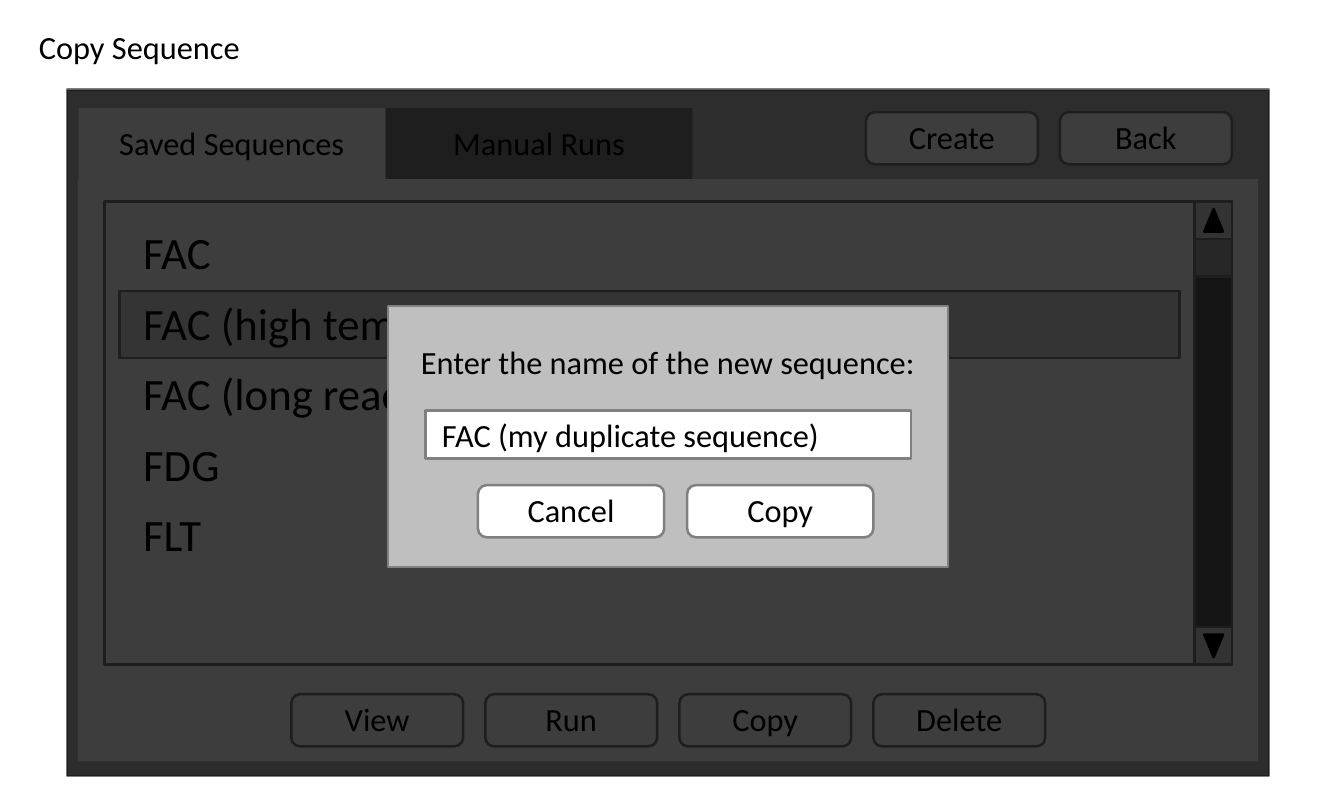
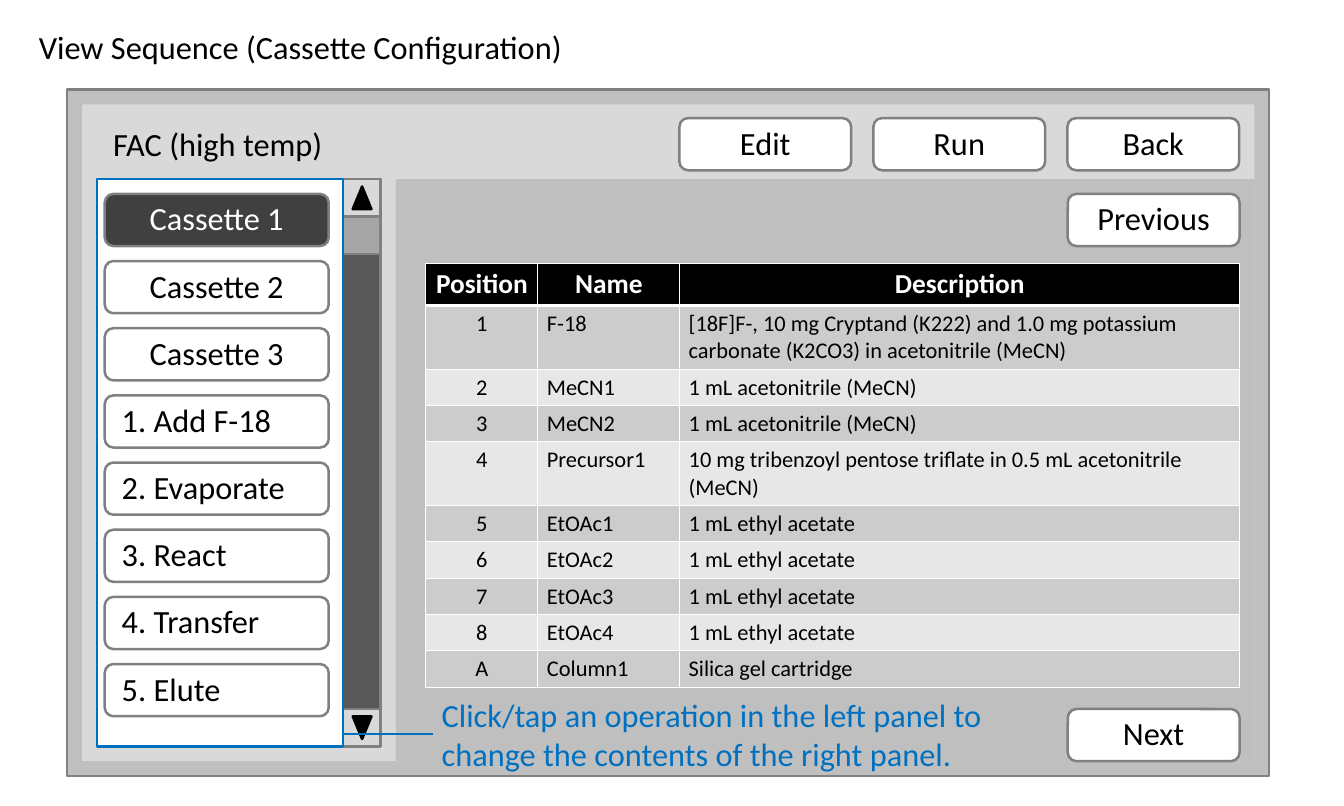
from dataclasses import dataclass

from lxml import etree
from pptx import Presentation
from pptx.dml.color import RGBColor
from pptx.enum.shapes import MSO_CONNECTOR, MSO_SHAPE
from pptx.enum.text import MSO_ANCHOR, MSO_AUTO_SIZE, PP_ALIGN
from pptx.oxml.ns import qn
from pptx.util import Cm, Pt

RECTANGLE = MSO_SHAPE.RECTANGLE
ROUNDED = MSO_SHAPE.ROUNDED_RECTANGLE
TRIANGLE = MSO_SHAPE.ISOSCELES_TRIANGLE
STRAIGHT = MSO_CONNECTOR.STRAIGHT
TOP = MSO_ANCHOR.TOP
NO_AUTOFIT = MSO_AUTO_SIZE.NONE
LEFT = PP_ALIGN.LEFT
CENTER = PP_ALIGN.CENTER
TITLE_ONLY = 5
LEFT_SIDE = 1


@dataclass(frozen=True)
class Theme:
    font: str = "Calibri"
    body: int = 26
    sequence: int = 36
    table_head: int = 22
    table_body: int = 18
    outline: float = 2
    black: str = "000000"
    white: str = "FFFFFF"
    frame: str = "BFBFBF"
    light: str = "D9D9D9"
    thumb: str = "A6A6A6"
    edge: str = "808080"
    track: str = "595959"
    dark: str = "404040"
    accent: str = "0070C0"
    row_odd: str = "CCCCCC"
    row_even: str = "E7E7E7"


THEME = Theme()

SCREEN = (1.9, 2.54, 34.08, 19.47)
BUTTON_WIDTH = 4.87
BUTTON_HEIGHT = 1.48
BUTTON_STEP = 5.5
SCROLL_CELL = 1.06
TEXT_HEIGHT = 1.37
INSET = (0.25, 0.13)
BUTTON_INSET = (0.1, 0.06)
STEP_INSET = (0.41, 0.06)

SEQUENCES = ["FAC", "FAC (high temp)", "FAC (long reaction time)", "FDG", "FLT"]
CASSETTES = ["Cassette 1", "Cassette 2", "Cassette 3"]
STEPS = ["1. Add F-18", "2. Evaporate", "3. React", "4. Transfer", "5. Elute"]
REAGENTS = [
    ("Position", "Name", "Description"),
    ("1", "F-18", "[18F]F-, 10 mg Cryptand (K222) and 1.0 mg potassium "
                  "carbonate (K2CO3) in acetonitrile (MeCN)"),
    ("2", "MeCN1", "1 mL acetonitrile (MeCN)"),
    ("3", "MeCN2", "1 mL acetonitrile (MeCN)"),
    ("4", "Precursor1", "10 mg tribenzoyl pentose triflate in 0.5 mL "
                        "acetonitrile (MeCN)"),
    ("5", "EtOAc1", "1 mL ethyl acetate"),
    ("6", "EtOAc2", "1 mL ethyl acetate"),
    ("7", "EtOAc3", "1 mL ethyl acetate"),
    ("8", "EtOAc4", "1 mL ethyl acetate"),
    ("A", "Column1", "Silica gel cartridge"),
]


def rgb(color):
    return RGBColor.from_string(color)


def write(frame, lines, size=THEME.body, color=THEME.black, align=LEFT,
          bold=False, gap=0):
    """Write one paragraph per line, with a gap in points between them."""
    for index, line in enumerate(lines):
        para = frame.add_paragraph() if index else frame.paragraphs[0]
        para.alignment = align
        if index and gap:
            para.space_before = Pt(gap)
        span = para.add_run()
        span.text = line
        span.font.name = THEME.font
        span.font.size = Pt(size)
        span.font.bold = bold
        span.font.color.rgb = rgb(color)


def set_frame(frame, inset=INSET):
    frame.word_wrap = True
    frame.auto_size = NO_AUTOFIT
    frame.vertical_anchor = TOP
    frame.margin_left = frame.margin_right = Cm(inset[0])
    frame.margin_top = frame.margin_bottom = Cm(inset[1])


def add_box(slide, area, fill, line=None, kind=RECTANGLE, opacity=None,
            text=None, inset=INSET, **style):
    """Add a filled shape; opacity is a percentage."""
    box = slide.shapes.add_shape(kind, *map(Cm, area))
    box.shadow.inherit = False
    box.fill.solid()
    box.fill.fore_color.rgb = rgb(fill)
    if opacity is not None:
        color = box._element.spPr.find(qn("a:solidFill"))[0]
        etree.SubElement(color, qn("a:alpha")).set("val", str(opacity * 1000))
    if line:
        box.line.color.rgb = rgb(line)
        box.line.width = Pt(THEME.outline)
    else:
        box.line.fill.background()
    if text:
        set_frame(box.text_frame, inset)
        write(box.text_frame, [text], **style)
    return box


def add_text(slide, area, lines, **style):
    box = slide.shapes.add_textbox(*map(Cm, area))
    set_frame(box.text_frame)
    write(box.text_frame, lines, **style)
    return box


def add_button(slide, label, left, top, width=BUTTON_WIDTH, fill=THEME.white,
               inset=BUTTON_INSET, align=CENTER, color=THEME.black):
    add_box(slide, (left, top, width, BUTTON_HEIGHT), fill, THEME.edge, ROUNDED,
            text=label, inset=inset, align=align, color=color)


def add_button_row(slide, labels, left, top, step=BUTTON_STEP,
                   width=BUTTON_WIDTH):
    for index, label in enumerate(labels):
        add_button(slide, label, left + index * step, top, width)


def add_scrollbar(slide, left, top, height):
    cell = SCROLL_CELL
    bottom = top + height - cell
    add_box(slide, (left, top, cell, height), THEME.track, THEME.edge)
    add_box(slide, (left, top + cell, cell, cell), THEME.thumb, THEME.edge)
    for arrow_top, rotation in ((top, 0), (bottom, 180)):
        add_box(slide, (left, arrow_top, cell, cell), THEME.light, THEME.edge)
        arrow = add_box(slide, (left + 0.27, arrow_top + 0.21, 0.53, 0.64),
                        THEME.black, THEME.black, TRIANGLE)
        arrow.rotation = rotation


def add_border(cell, side, width):
    line = etree.SubElement(cell._tc.get_or_add_tcPr(), qn(f"a:ln{side}"),
                            w=str(Pt(width)))
    fill = etree.SubElement(line, qn("a:solidFill"))
    etree.SubElement(fill, qn("a:srgbClr"), val=THEME.white)


def add_reagent_table(slide, left, top, widths, head_height, row_height):
    count = len(REAGENTS)
    height = head_height + (count - 1) * row_height
    table = slide.shapes.add_table(
        count, len(widths), Cm(left), Cm(top), Cm(sum(widths)), Cm(height)).table
    for column, width in zip(table.columns, widths):
        column.width = Cm(width)
    for row, values in enumerate(REAGENTS):
        head = row == 0
        table.rows[row].height = Cm(head_height if head else row_height)
        shade = THEME.row_odd if row % 2 else THEME.row_even
        for column, value in enumerate(values):
            cell = table.cell(row, column)
            for side in "LRTB":
                thick = (head and side == "B") or (row == 1 and side == "T")
                add_border(cell, side, 3 if thick else 1)
            cell.fill.solid()
            cell.fill.fore_color.rgb = rgb(THEME.black if head else shade)
            write(cell.text_frame, [value],
                  size=THEME.table_head if head else THEME.table_body,
                  color=THEME.white if head else THEME.black,
                  align=CENTER if head or column == 0 else LEFT, bold=head)


def add_screen(deck, title):
    """Add a slide with its title and the grey frame of the screen."""
    slide = deck.slides.add_slide(deck.slide_layouts[TITLE_ONLY])
    holder = slide.shapes.title
    holder.left, holder.top = Cm(0.85), Cm(0.64)
    holder.width, holder.height = Cm(20.32), Cm(TEXT_HEIGHT)
    set_frame(holder.text_frame)
    write(holder.text_frame, [title])
    add_box(slide, SCREEN, THEME.frame, THEME.edge)
    return slide


def add_copy_dialog(slide):
    add_box(slide, (11, 8.68, 15.88, 7.41), THEME.frame, THEME.edge,
            text="Enter the name of the new sequence:", inset=(0.2, 1.02),
            align=CENTER)
    add_box(slide, (12.07, 11.64, 13.76, TEXT_HEIGHT), THEME.white, THEME.edge,
            text="FAC (my duplicate sequence)", inset=(0.46, 0.13))
    add_button_row(slide, ["Cancel", "Copy"], 13.55, 13.76, 5.93, 5.28)


def build_copy_slide(deck):
    slide = add_screen(deck, "Copy Sequence")
    tabs = (("Saved Sequences", THEME.white), ("Manual Runs", THEME.edge))
    for index, (label, fill) in enumerate(tabs):
        add_box(slide, (2.23 + index * 8.71, 3.07, 8.69, 2.34), fill,
                text=label, inset=(0.25, 0.43), align=CENTER)
    add_box(slide, (2.21, 5.08, 33.45, 16.51), THEME.white)
    add_button_row(slide, ["Create", "Back"], 24.55, 3.18)
    add_button_row(slide, ["View", "Run", "Copy", "Delete"], 8.26, 19.69)

    add_box(slide, (2.97, 5.72, 31.96, 13.13), THEME.white, THEME.edge)
    add_scrollbar(slide, 33.87, 5.72, 13.13)
    add_text(slide, (3.81, 6.25, 25.6, 10), SEQUENCES,
             size=THEME.sequence, gap=13.5)
    add_box(slide, (3.39, 8.26, 30.05, 1.9), THEME.dark, THEME.edge, opacity=18)

    add_box(slide, SCREEN, THEME.black, opacity=76)
    add_copy_dialog(slide)


def add_operation_list(slide, left, top, width, height):
    add_scrollbar(slide, left + width, top, height)
    add_box(slide, (left, top, width, height), THEME.white, THEME.accent)
    for index, label in enumerate(CASSETTES + STEPS):
        selected = index == 0
        is_step = label in STEPS
        add_button(slide, label, left + 0.22, top + 0.42 + index * 1.905, 6.35,
                   fill=THEME.dark if selected else THEME.white,
                   color=THEME.white if selected else THEME.black,
                   inset=STEP_INSET if is_step else BUTTON_INSET,
                   align=LEFT if is_step else CENTER)


def add_callout(slide, area, text, start):
    """Add a note and a line that reaches its left side from x = start."""
    note = add_text(slide, area, [text], color=THEME.accent)
    middle = note.top + note.height // 2
    line = slide.shapes.add_connector(STRAIGHT, Cm(start), middle, note.left, middle)
    line.end_connect(note, LEFT_SIDE)
    line.line.color.rgb = rgb(THEME.accent)
    line.line.width = Pt(1.5)
    etree.SubElement(line._element.spPr, qn("a:effectLst"))


def build_view_slide(deck):
    slide = add_screen(deck, "View Sequence (Cassette Configuration)")
    add_box(slide, (2.33, 2.96, 33.23, 18.63), THEME.light)
    add_box(slide, (11.22, 5.08, 24.34, 16.51), THEME.frame)
    add_text(slide, (2.96, 3.39, 7.62, TEXT_HEIGHT), ["FAC (high temp)"])
    add_button_row(slide, ["Edit", "Run", "Back"], 19.26, 3.35)
    add_button(slide, "Previous", 30.27, 5.5)
    add_button(slide, "Next", 30.27, 20.11)
    add_operation_list(slide, 2.75, 5.08, 6.98, 16.09)
    add_reagent_table(slide, 12.07, 7.47, (3.18, 4.02, 15.88), 1.19, 1.03)
    add_callout(slide, (12.27, 19.58, 16.72, 2.49),
                "Click/tap an operation in the left panel to "
                "change the contents of the right panel.", 9.73)


def main():
    deck = Presentation()
    deck.slide_width, deck.slide_height = Cm(38.1), Cm(22.86)
    build_copy_slide(deck)
    build_view_slide(deck)
    deck.save("out.pptx")


if __name__ == "__main__":
    main()
